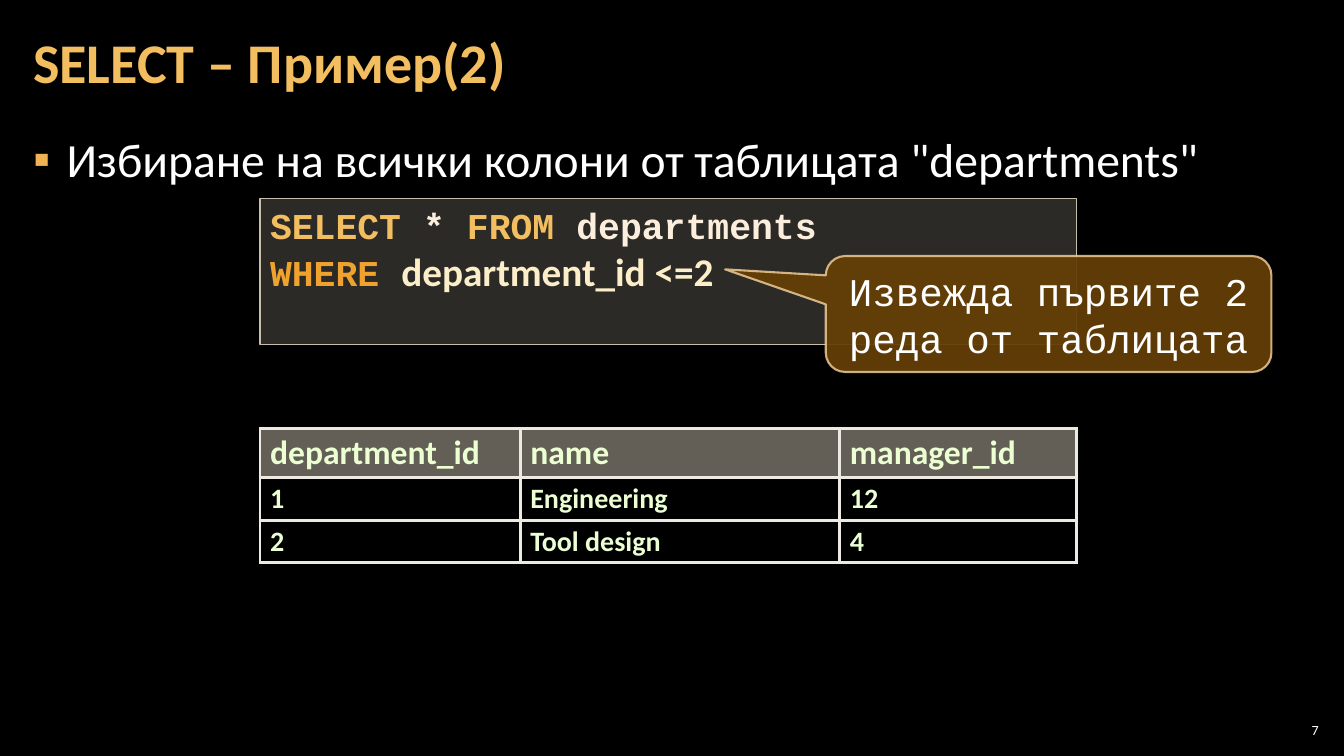
from dataclasses import dataclass
from typing import Any

from lxml import etree
from pptx import Presentation
from pptx import util as u
from pptx.dml.color import RGBColor
from pptx.enum import shapes, text
from pptx.oxml import ns

CALIBRI, COURIER = "Calibri", "Courier New"
WHITE, GOLD, CREAM, MINT = "FFFFFF", "F3BE60", "FBEEDC", "EBFFD2"
SAND, GRID = "C7BFAC", "ECEAE3"


@dataclass
class Run:
    text: str
    size: float
    color: str = WHITE
    font: str = CALIBRI
    bold: bool = False


@dataclass
class Box:
    left: float
    top: float
    width: float
    height: float

    def lengths(self) -> list[u.Length]:
        return [u.Inches(n) for n in (self.left, self.top, self.width, self.height)]


@dataclass
class Panel:
    kind: shapes.MSO_SHAPE
    box: Box
    fill: str
    fill_alpha: int
    line: str
    line_width: float
    line_alpha: int
    anchor: text.MSO_ANCHOR
    align: text.PP_ALIGN
    lines: list[list[Run]]
    adjustments: tuple[float, ...] = ()


TITLE = Run("SELECT – Пример(2)", 40, GOLD, bold=True)
BULLET = Run('Избиране на всички колони от таблицата "departments"', 34)
QUERY = [
    [Run("SELECT", 26, GOLD, COURIER, True), Run(" * ", 26, CREAM, COURIER, True),
     Run("FROM", 26, GOLD, COURIER, True),
     Run(" departments", 26, CREAM, COURIER, True)],
    [Run("WHERE ", 26, "F0A22E", COURIER, True),
     Run("department_id <=2", 28, "FBEEC9", bold=True)],
]
CALLOUT = [[Run("Извежда първите 2 реда от таблицата", 28, font=COURIER)]]
PANELS = [
    Panel(shapes.MSO_SHAPE.RECTANGLE, Box(2.58, 1.97, 8.1, 1.45), "D9D5C7", 20,
          SAND, 1, 100, text.MSO_ANCHOR.TOP, text.PP_ALIGN.LEFT, QUERY),
    Panel(shapes.MSO_SHAPE.ROUNDED_RECTANGULAR_CALLOUT, Box(8.19, 2.54, 4.42, 1.15),
          "643F07", 95, "F8D49E", 1.5, 80, text.MSO_ANCHOR.MIDDLE,
          text.PP_ALIGN.CENTER, CALLOUT, (-0.726, -0.385, 0.167)),
]
ROWS = [("department_id", "name", "manager_id"),
        ("1", "Engineering", "12"),
        ("2", "Tool design", "4")]
COLUMN_WIDTHS = (2.58, 3.17, 2.35)
ROW_HEIGHTS = (0.47, 0.42, 0.42)


def rgb(color: str) -> RGBColor:
    return RGBColor.from_string(color)


def apply(target: Any, formats: dict[str, Any]) -> None:
    for name, value in formats.items():
        setattr(target, name, value)


def add_element(parent: Any, tag: str, **attributes: str) -> Any:
    return etree.SubElement(parent, ns.qn(tag), attributes)


def paint(fill: Any, parent: Any, color: str, alpha: int = 100) -> None:
    """Fill with a colour; parent is the XML element that holds the solid fill."""
    fill.solid()
    fill.fore_color.rgb = rgb(color)
    if alpha < 100:
        add_element(parent.find(ns.qn("a:solidFill"))[0], "a:alpha", val=str(alpha * 1000))


def write(paragraph: Any, runs: list[Run], **formats: Any) -> None:
    apply(paragraph, formats)
    for item in runs:
        run = paragraph.add_run()
        run.text = item.text
        apply(run.font, {"name": item.font, "size": u.Pt(item.size), "bold": item.bold})
        run.font.color.rgb = rgb(item.color)


def set_frame(frame: Any, anchor: text.MSO_ANCHOR, side: float = 0.1, edge: float = 0.05) -> None:
    apply(frame, {
        "word_wrap": True, "auto_size": text.MSO_AUTO_SIZE.NONE, "vertical_anchor": anchor,
        "margin_left": u.Inches(side), "margin_right": u.Inches(side),
        "margin_top": u.Inches(edge), "margin_bottom": u.Inches(edge),
    })


def place(shape: Any, box: Box) -> None:
    apply(shape, dict(zip(("left", "top", "width", "height"), box.lengths())))


def add_heading(slide: Any) -> None:
    title = slide.shapes.title
    place(title, Box(0.21, 0.04, 12.91, 1.21))
    set_frame(title.text_frame, text.MSO_ANCHOR.MIDDLE, 0.12, 0.04)
    write(title.text_frame.paragraphs[0], [TITLE],
          alignment=text.PP_ALIGN.LEFT, line_spacing=0.9)


def add_bullet_list(slide: Any) -> None:
    body = slide.placeholders[1]
    place(body, Box(0.21, 1.17, 12.91, 6.09))
    set_frame(body.text_frame, text.MSO_ANCHOR.TOP, 0.12, 0.04)
    paragraph = body.text_frame.paragraphs[0]
    properties = paragraph._p.get_or_add_pPr()
    indent = u.Inches(0.33)
    properties.set("marL", str(indent))
    properties.set("indent", str(-indent))
    add_element(add_element(properties, "a:buClr"), "a:srgbClr", val="F2B254")
    add_element(properties, "a:buFont", typeface=CALIBRI)
    add_element(properties, "a:buChar", char="▪")
    write(paragraph, [BULLET], space_before=u.Pt(0), space_after=u.Pt(6))
    # The gap above the only bullet belongs to the frame.
    body.text_frame.margin_top = u.Inches(0.04) + u.Pt(6)


def add_panel(slide: Any, panel: Panel) -> None:
    shape = slide.shapes.add_shape(panel.kind, *panel.box.lengths())
    shape.shadow.inherit = False
    for index, value in enumerate(panel.adjustments):
        shape.adjustments[index] = value
    paint(shape.fill, shape._element.spPr, panel.fill, panel.fill_alpha)
    shape.line.width = u.Pt(panel.line_width)
    paint(shape.line.fill, shape.line._get_or_add_ln(), panel.line, panel.line_alpha)
    frame = shape.text_frame
    set_frame(frame, panel.anchor)
    for index, runs in enumerate(panel.lines):
        paragraph = frame.add_paragraph() if index else frame.paragraphs[0]
        write(paragraph, runs, alignment=panel.align)


def add_borders(cell: Any) -> None:
    properties = cell._tc.get_or_add_tcPr()
    for side in ("a:lnL", "a:lnR", "a:lnT", "a:lnB"):
        line = add_element(properties, side, w=str(u.Pt(2.25)))
        add_element(add_element(line, "a:solidFill"), "a:srgbClr", val=GRID)


def add_department_table(slide: Any) -> None:
    box = Box(2.58, 4.25, sum(COLUMN_WIDTHS), sum(ROW_HEIGHTS))
    table = slide.shapes.add_table(len(ROWS), len(COLUMN_WIDTHS), *box.lengths()).table
    apply(table, {"first_row": False, "horz_banding": False})
    for column, width in zip(table.columns, COLUMN_WIDTHS):
        column.width = u.Inches(width)
    for row_index, (row, values) in enumerate(zip(table.rows, ROWS)):
        row.height = u.Inches(ROW_HEIGHTS[row_index])
        header = row_index == 0
        for cell, value in zip(row.cells, values):
            add_borders(cell)
            if header:
                paint(cell.fill, cell._tc.tcPr, SAND, 50)
            else:
                cell.fill.background()
            write(cell.text_frame.paragraphs[0],
                  [Run(value, 24 if header else 20, MINT, bold=True)], line_spacing=0.95)


def add_page_number(slide: Any) -> None:
    frame = slide.shapes.add_textbox(*Box(12.65, 7.14, 0.47, 0.21).lengths()).text_frame
    set_frame(frame, text.MSO_ANCHOR.MIDDLE, 0.04, 0.04)
    write(frame.paragraphs[0], [Run("7", 10)], alignment=text.PP_ALIGN.RIGHT)


def main() -> None:
    presentation = Presentation()
    apply(presentation, {"slide_width": u.Inches(13.33), "slide_height": u.Inches(7.5)})
    slide = presentation.slides.add_slide(presentation.slide_layouts[1])
    slide.background.fill.solid()
    slide.background.fill.fore_color.rgb = rgb("000000")
    add_heading(slide)
    add_bullet_list(slide)
    add_panel(slide, PANELS[0])
    add_department_table(slide)
    add_panel(slide, PANELS[1])
    add_page_number(slide)
    presentation.save("out.pptx")


if __name__ == "__main__":
    main()
